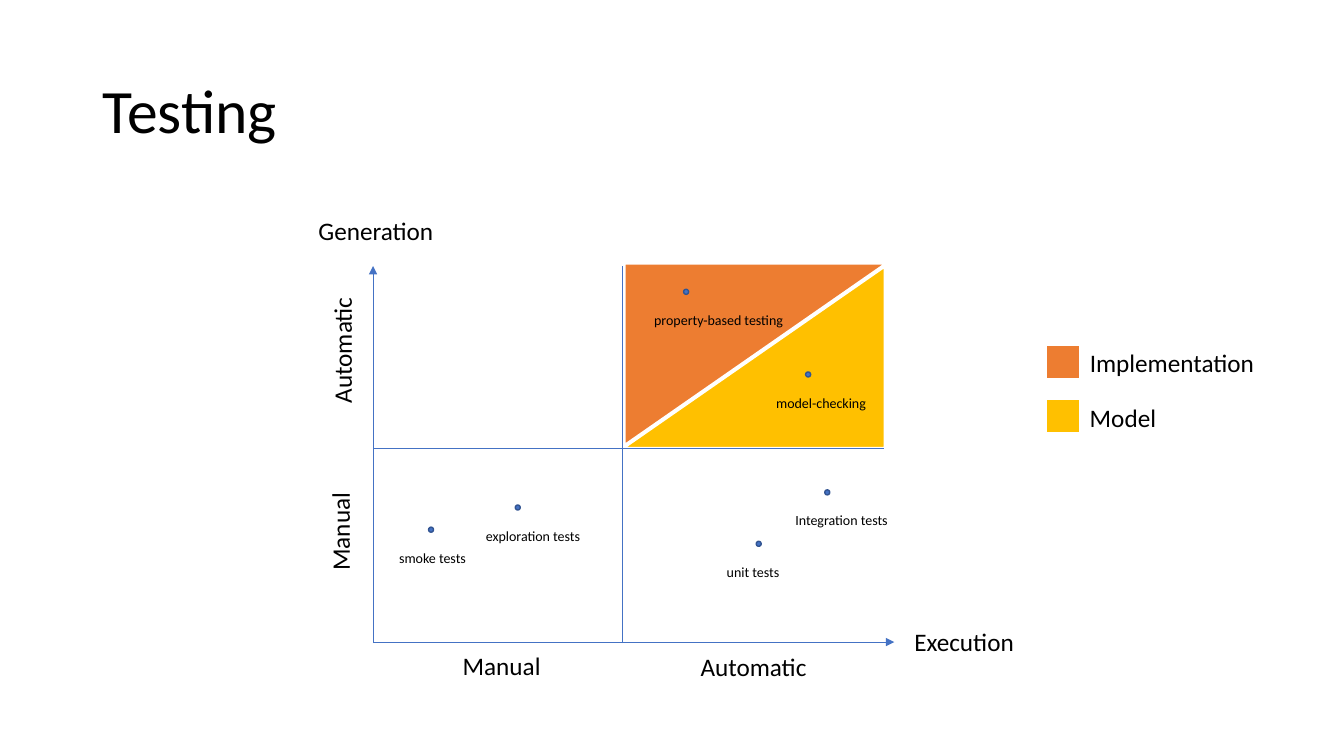
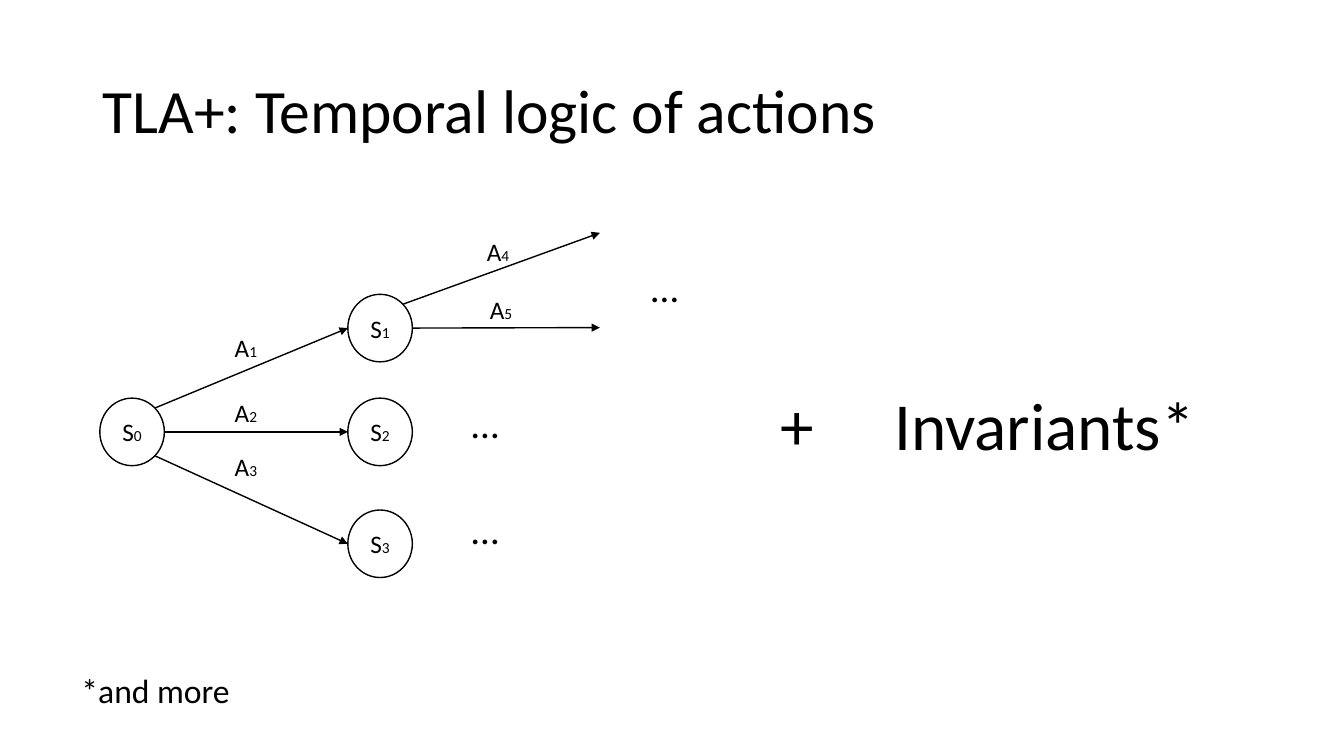
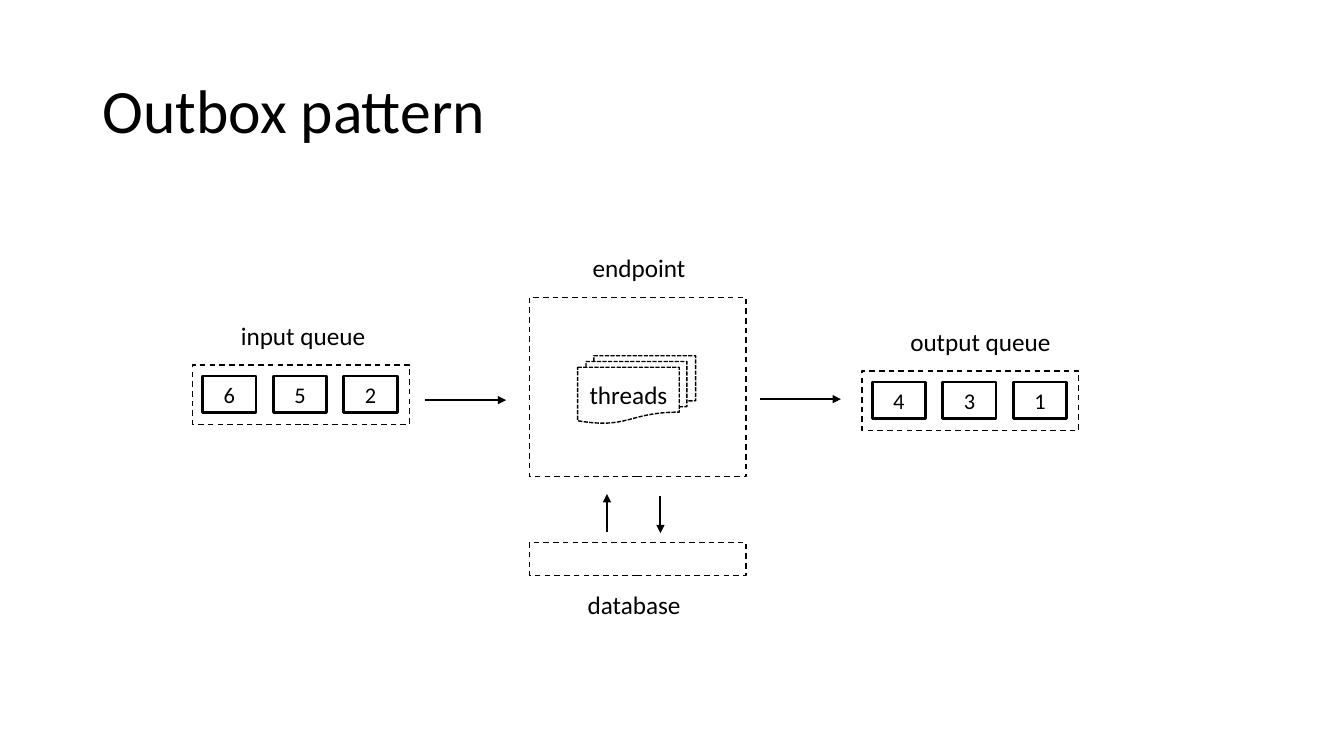
from math import sqrt

from lxml import etree
from pptx import Presentation
from pptx.dml.color import RGBColor
from pptx.enum.dml import MSO_LINE
from pptx.enum.shapes import MSO_CONNECTOR, MSO_SHAPE
from pptx.enum.text import MSO_ANCHOR, MSO_AUTO_SIZE, PP_ALIGN
from pptx.oxml.ns import qn
from pptx.util import Inches, Pt

# Shared style
FONT = "Calibri"
BLACK, WHITE = "000000", "FFFFFF"
BLUE, DARK_BLUE, ORANGE, GOLD = "4472C4", "325491", "ED7D31", "FFC000"
TITLE_BOX = (0.92, 0.4, 11.5, 1.45)
BODY, SUBSCRIPT = 18, 11

# Slide 1: quadrant chart
TESTING = "Testing"
TRIANGLES = [(6.59, 2.22, 90, ORANGE), (6.58, 2.25, 270, GOLD)]
TRIANGLE_SIZE = (1.8, 2.59)
AXES = [  # start, end, arrowhead
    ((3.7, 6.38), (3.7, 2.64), True),
    ((3.7, 6.37), (8.87, 6.37), True),
    ((3.7, 4.45), (8.77, 4.45), False),
    ((6.17, 6.38), (6.17, 2.64), False),
]
AXIS_LABELS = [  # text, left, top, width, rotation
    ("Execution", 8.97, 6.16, 1.2, 0),
    ("Generation", 3.06, 2.09, 1.36, 0),
    ("Manual", 4.49, 6.4, 0.98, 0),
    ("Manual", 2.88, 5.07, 0.98, 270),
    ("Automatic", 6.85, 6.41, 1.26, 0),
    ("Automatic", 2.76, 3.27, 1.26, 270),
]
TEST_KINDS = [  # text, dot left, dot top, label width
    ("smoke tests", 4.25, 5.23, 0.88),
    ("exploration tests", 5.11, 5.01, 1.16),
    ("model-checking", 7.99, 3.69, 1.1),
    ("unit tests", 7.5, 5.37, 0.73),
    ("property-based testing", 6.78, 2.87, 1.5),
    ("Integration tests", 8.18, 4.86, 1.14),
]
LEGEND = [("Implementation", 3.42, 1.85, ORANGE), ("Model", 3.96, 0.87, GOLD)]

# Slide 2: state graph
TLA = "TLA+: Temporal logic of actions"
STATE_SIZE = (0.64, 0.67)
STATES = {"0": (0.99, 3.95), "1": (3.45, 2.92), "2": (3.45, 3.95), "3": (3.45, 5.06)}
STEPS = [  # from state, side, to state or point
    ("0", "upper right", "1"),
    ("0", "right", "2"),
    ("0", "lower right", "3"),
    ("1", "upper right", (5.95, 2.31)),
    ("1", "right", (5.95, 3.25)),
]
ACTIONS = {"1": (2.23, 3.25), "2": (2.23, 3.89), "3": (2.23, 4.43),
           "4": (4.73, 2.3), "5": (4.76, 2.87)}
REMARKS = [  # text, size, box
    ("…", 28, (6.36, 2.56, 0.53, 0.57)),
    ("…", 28, (4.58, 3.91, 0.53, 0.57)),
    ("…", 28, (4.58, 4.96, 0.53, 0.57)),
    ("Invariants*", 48, (8.77, 3.75, 3.3, 0.91)),
    ("+", 48, (7.64, 3.75, 0.59, 0.91)),
    ("*and more", 24, (0.71, 6.6, 1.83, 0.5)),
]

# Slide 3: message flow
OUTBOX = "Outbox pattern"
QUEUES = [("input queue", "652", 1.91, 3.62), ("output queue", "431", 8.55, 3.68)]
FRAME_WIDTH, CELL_STEP = 2.15, 0.7
STATIONS = [  # text, frame top, frame height, label left, label top
    ("endpoint", 2.95, 1.78, 5.78, 2.45),
    ("database", 5.38, 0.33, 5.73, 5.8),
]
FLOWS = [
    ((4.22, 3.97), (5.02, 3.97)),
    ((7.54, 3.96), (8.34, 3.96)),
    ((6.55, 4.92), (6.55, 5.29)),
    ((6.02, 5.28), (6.02, 4.9)),
]
THREADS = ("threads", (5.73, 3.53, 1.17, 0.67))


def rgb(value):
    return RGBColor.from_string(value)


def inches(values):
    return [Inches(value) for value in values]


def write(paragraph, runs):
    """Fill a paragraph with (text, size) runs."""
    for text, size in runs:
        run = paragraph.add_run()
        run.text = text
        for name, value in {"name": FONT, "size": Pt(size)}.items():
            setattr(run.font, name, value)
        run.font.color.rgb = rgb(BLACK)


def add_text(shapes, box, runs, wrap=True, rotation=0):
    label = shapes.add_textbox(*inches(box))
    label.rotation = rotation
    frame = label.text_frame
    frame.word_wrap = wrap
    frame.auto_size = MSO_AUTO_SIZE.SHAPE_TO_FIT_TEXT
    write(frame.paragraphs[0], runs)
    return label


def add_figure(shapes, kind, box, fill=None, line=BLACK, width=1, dash=None, runs=(), rotation=0):
    figure = shapes.add_shape(kind, *inches(box))
    figure.shadow.inherit = False
    figure.rotation = rotation
    if fill:
        figure.fill.solid()
        figure.fill.fore_color.rgb = rgb(fill)
    else:
        figure.fill.background()
    figure.line.color.rgb = rgb(line)
    figure.line.width = Pt(width)
    if dash:
        figure.line.dash_style = dash
    if runs:
        frame = figure.text_frame
        frame.vertical_anchor = MSO_ANCHOR.MIDDLE
        for side in ("left", "right", "top", "bottom"):
            setattr(frame, f"margin_{side}", 0)
        frame.paragraphs[0].alignment = PP_ALIGN.CENTER
        write(frame.paragraphs[0], runs)


def add_line(shapes, start, end, color=BLACK, width=1, arrow=True):
    line = shapes.add_connector(MSO_CONNECTOR.STRAIGHT, *inches(start + end))
    line.line.color.rgb = rgb(color)
    line.line.width = Pt(width)
    properties = line.element.spPr
    if arrow:
        etree.SubElement(properties.find(qn("a:ln")), qn("a:tailEnd"), type="triangle")
    etree.SubElement(properties, qn("a:effectLst"))


def add_slide(deck, title):
    shapes = deck.slides.add_slide(deck.slide_layouts[6]).shapes
    frame = add_text(shapes, TITLE_BOX, [(title, 44)]).text_frame
    frame.auto_size = MSO_AUTO_SIZE.NONE
    frame.vertical_anchor = MSO_ANCHOR.MIDDLE
    frame.paragraphs[0].line_spacing = 0.9
    return shapes


def build_testing(deck):
    shapes = add_slide(deck, TESTING)
    for left, top, rotation, color in TRIANGLES:
        add_figure(shapes, MSO_SHAPE.RIGHT_TRIANGLE, (left, top, *TRIANGLE_SIZE),
                   color, WHITE, 1.5, rotation=rotation)
    for start, end, arrow in AXES:
        add_line(shapes, start, end, BLUE, 0.5, arrow)
    for text, left, top, width, rotation in AXIS_LABELS:
        add_text(shapes, (left, top, width, 0.4), [(text, BODY)], False, rotation)
    # Each dot is grouped with its label
    for text, left, top, width in TEST_KINDS:
        pair = shapes.add_group_shape().shapes
        add_figure(pair, MSO_SHAPE.OVAL, (left, top, 0.05, 0.05), BLUE, DARK_BLUE)
        add_text(pair, (left - 0.39, top + 0.17, width, 0.27), [(text, 10)], False)
    for text, top, width, color in LEGEND:
        add_text(shapes, (10.71, top - 0.02, width, 0.4), [(text, BODY)], False)
        add_figure(shapes, MSO_SHAPE.RECTANGLE, (10.37, top, 0.34, 0.34), color, WHITE, 1.5)


def state_point(state, side):
    """Point on the outline of a state's ellipse."""
    diagonal = 1 / sqrt(2)
    across, down = {"left": (-1, 0), "right": (1, 0),
                    "upper right": (diagonal, -diagonal),
                    "lower right": (diagonal, diagonal)}[side]
    (left, top), (width, height) = STATES[state], STATE_SIZE
    return left + width / 2 * (1 + across), top + height / 2 * (1 + down)


def build_tla(deck):
    shapes = add_slide(deck, TLA)
    for number, corner in STATES.items():
        add_figure(shapes, MSO_SHAPE.OVAL, corner + STATE_SIZE, WHITE,
                   runs=[("S", BODY), (number, SUBSCRIPT)])
    for state, side, target in STEPS:
        end = state_point(target, "left") if target in STATES else target
        add_line(shapes, state_point(state, side), end)
    for number, corner in ACTIONS.items():
        add_text(shapes, (*corner, 0.53, 0.4), [("A", BODY), (number, SUBSCRIPT)])
    for text, size, box in REMARKS:
        add_text(shapes, box, [(text, size)])


def build_outbox(deck):
    shapes = add_slide(deck, OUTBOX)
    # Queues with their messages
    for text, messages, left, top in QUEUES:
        add_figure(shapes, MSO_SHAPE.RECTANGLE, (left, top, FRAME_WIDTH, 0.59), dash=MSO_LINE.DASH)
        for index, message in enumerate(messages):
            cell = (left + 0.1 + index * CELL_STEP, top + 0.11, 0.53, 0.36)
            add_figure(shapes, MSO_SHAPE.RECTANGLE, cell, width=2, runs=[(message, 16)])
        add_text(shapes, (left + 0.38, top - 0.49, 1.63, 0.4), [(text, BODY)])
    # Endpoint and database
    for text, top, height, label_left, label_top in STATIONS:
        add_figure(shapes, MSO_SHAPE.RECTANGLE, (5.25, top, FRAME_WIDTH, height), dash=MSO_LINE.DASH)
        add_text(shapes, (label_left, label_top, 1.17, 0.4), [(text, BODY)])
    for start, end in FLOWS:
        add_line(shapes, start, end, width=1.5)
    text, box = THREADS
    add_figure(shapes, MSO_SHAPE.FLOWCHART_MULTIDOCUMENT, box, WHITE,
               dash=MSO_LINE.SQUARE_DOT, runs=[(text, BODY)])


def main():
    deck = Presentation()
    deck.slide_width, deck.slide_height = inches((13.33, 7.5))
    for build in (build_testing, build_tla, build_outbox):
        build(deck)
    deck.save("out.pptx")


if __name__ == "__main__":
    main()
